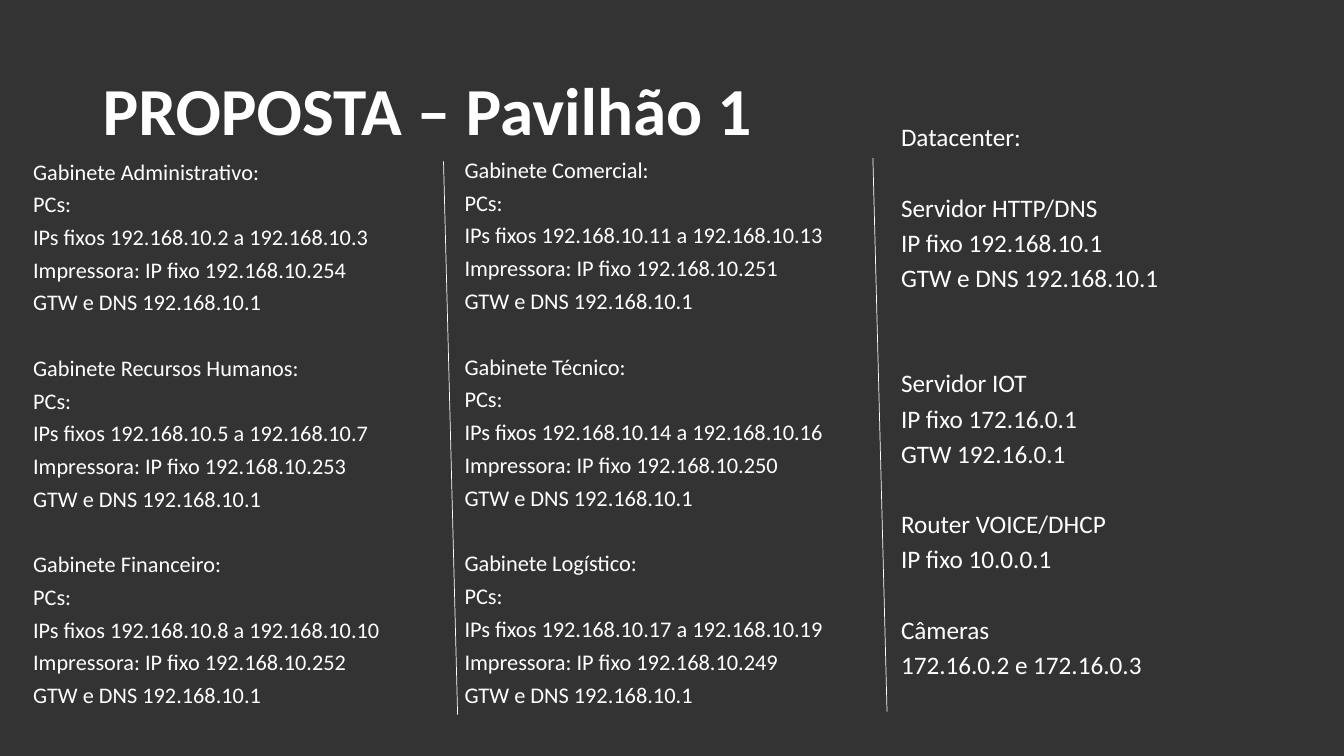
from dataclasses import dataclass

from lxml.etree import SubElement
from pptx import Presentation
from pptx.dml.color import RGBColor
from pptx.enum.shapes import MSO_CONNECTOR as Connector
from pptx.enum.text import MSO_ANCHOR as Anchor, PP_ALIGN as Align
from pptx.oxml.ns import qn
from pptx.slide import Slide
from pptx.text.text import TextFrame
from pptx.util import Pt

COLORS = {"background": "333333", "text": "FFFFFF"}
FONT = "Calibri"
SPACE_BEFORE = 10


@dataclass
class Office:
    name: str
    first_host: int
    last_host: int
    printer_host: int

    def lines(self) -> list[str]:
        network = "192.168.10"
        return [
            f"Gabinete {self.name}:",
            "PCs:",
            f"IPs fixos {network}.{self.first_host} a {network}.{self.last_host}",
            f"Impressora: IP fixo {network}.{self.printer_host}",
            f"GTW e DNS {network}.1",
        ]


@dataclass
class Group:
    lines: list[str]
    rows_before: int = 1  # empty rows left above the group


@dataclass
class Column:
    left: float
    top: float
    height: float
    size: float
    row_pitch: float
    groups: list[Group]


@dataclass
class Divider:
    left: float
    top: float


def office_groups(*offices: Office) -> list[Group]:
    return [Group(office.lines()) for office in offices]


COLUMN_WIDTH = 303.84
COLUMNS = [
    Column(16.56, 114.48, 417.6, 15.9, 23.4, office_groups(
        Office("Administrativo", 2, 3, 254),
        Office("Recursos Humanos", 5, 7, 253),
        Office("Financeiro", 8, 10, 252),
    )),
    Column(324.72, 113.04, 417.6, 16, 23.4, office_groups(
        Office("Comercial", 11, 13, 251),
        Office("Técnico", 14, 16, 250),
        Office("Logístico", 17, 19, 249),
    )),
    Column(636.48, 89.28, 442.8, 18, 25.1, [
        Group(["Datacenter:"]),
        Group(["Servidor HTTP/DNS", "IP fixo 192.168.10.1", "GTW e DNS 192.168.10.1"]),
        Group(["Servidor IOT", "IP fixo 172.16.0.1", "GTW 192.16.0.1"], rows_before=2),
        Group(["Router VOICE/DHCP", "IP fixo 10.0.0.1"]),
        Group(["Câmeras", "172.16.0.2 e 172.16.0.3"]),
    ]),
]
DIVIDERS = [Divider(316.8, 115.2), Divider(623.52, 113.04)]
DIVIDER_SHIFT, DIVIDER_HEIGHT = 10.08, 395.28


def rgb(name: str) -> RGBColor:
    return RGBColor.from_string(COLORS[name])


def add_text_frame(slide: Slide, left: float, top: float,
                   width: float, height: float) -> TextFrame:
    shape = slide.shapes.add_textbox(Pt(left), Pt(top), Pt(width), Pt(height))
    shape.text_frame.word_wrap = True
    return shape.text_frame


def set_font(paragraph, size: float, bold: bool = False) -> None:
    font = paragraph.font
    font.name, font.size, font.bold = FONT, Pt(size), bold
    font.color.rgb = rgb("text")


def add_title(slide: Slide, text: str) -> None:
    frame = add_text_frame(slide, 66.24, 28.8, 828, 104.4)
    frame.vertical_anchor = Anchor.MIDDLE
    paragraph = frame.paragraphs[0]
    paragraph.text = text
    paragraph.line_spacing = 0.9
    set_font(paragraph, 48, bold=True)


def add_column(slide: Slide, column: Column) -> None:
    frame = add_text_frame(slide, column.left, column.top, COLUMN_WIDTH, column.height)
    for group_index, group in enumerate(column.groups):
        for line_index, line in enumerate(group.lines):
            is_first = group_index == line_index == 0
            paragraph = frame.paragraphs[0] if is_first else frame.add_paragraph()
            paragraph.text = line
            paragraph.alignment = Align.JUSTIFY
            paragraph.line_spacing = 0.7
            starts_group = group_index > 0 and line_index == 0
            gap = group.rows_before * column.row_pitch if starts_group else 0
            paragraph.space_before = Pt(SPACE_BEFORE + gap)
            set_font(paragraph, column.size)


def add_divider(slide: Slide, divider: Divider) -> None:
    connector = slide.shapes.add_connector(
        Connector.STRAIGHT, Pt(divider.left), Pt(divider.top),
        Pt(divider.left + DIVIDER_SHIFT), Pt(divider.top + DIVIDER_HEIGHT))
    connector.line.color.rgb = rgb("text")
    connector.line.width = Pt(0.5)
    SubElement(connector._element.spPr, qn("a:effectLst"))


def main() -> None:
    presentation = Presentation()
    presentation.slide_width, presentation.slide_height = Pt(960), Pt(540)
    slide = presentation.slides.add_slide(presentation.slide_layouts[6])

    # Background
    fill = slide.background.fill
    fill.solid()
    fill.fore_color.rgb = rgb("background")

    # Title and address columns
    add_title(slide, "PROPOSTA – Pavilhão 1")
    for column in COLUMNS:
        add_column(slide, column)

    # Lines between the columns
    for divider in DIVIDERS:
        add_divider(slide, divider)

    presentation.save("out.pptx")


if __name__ == "__main__":
    main()
